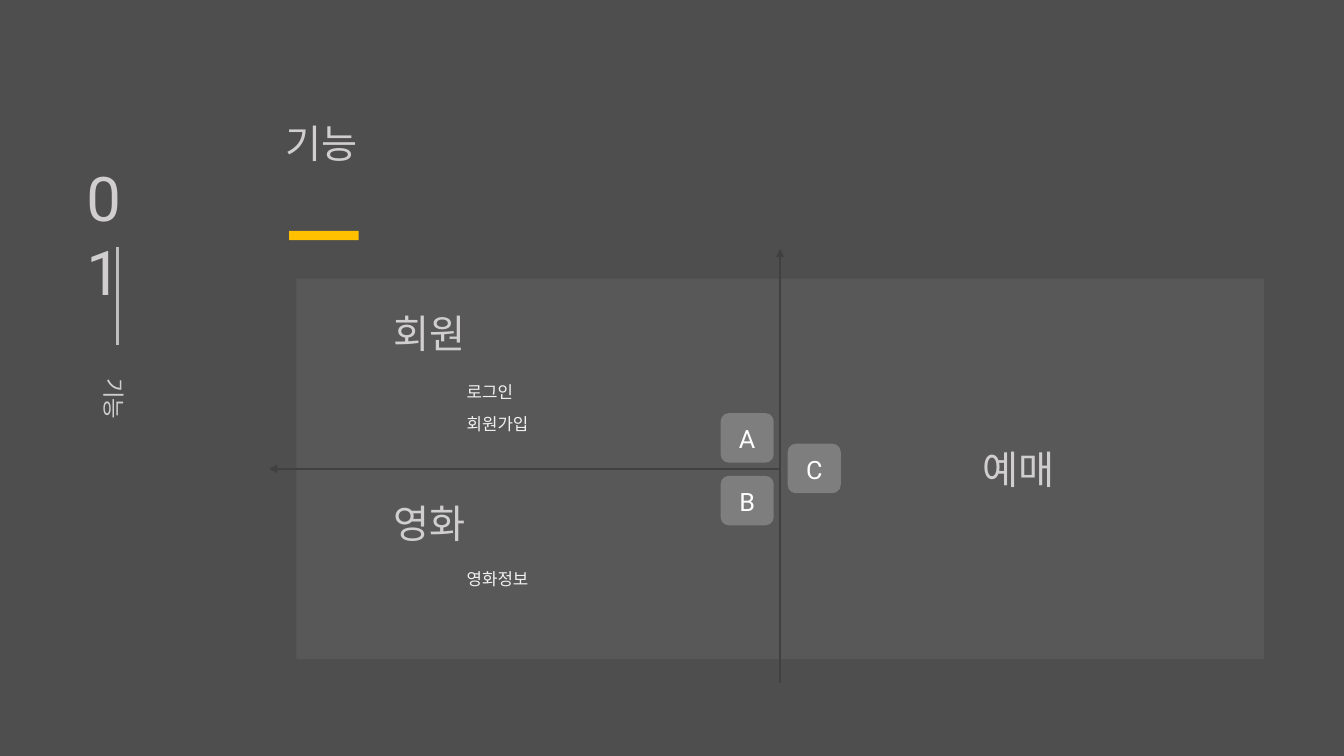
from dataclasses import dataclass

from lxml import etree
from pptx import Presentation
from pptx import util as u
from pptx.dml.color import RGBColor
from pptx.enum import shapes, text
from pptx.oxml import ns

COLORS = {
    "background": "4D4E4D",
    "panel": "585858",
    "key": "7E7E7E",
    "axis": "404040",
    "accent": "FFC000",
    "divider": "BEBEBE",
    "heading": "D0CECE",
    "item": "F1F1F1",
    "letter": "FFFFFF",
}
FONT = "Roboto"


@dataclass(frozen=True)
class Box:
    left: float
    top: float
    width: float
    height: float

    def lengths(self) -> tuple:
        return tuple(u.Cm(value) for value in (self.left, self.top, self.width, self.height))


@dataclass(frozen=True)
class Style:
    size: float
    color: str
    tracking: int = 0
    before: float = 1
    inset_top: float = 0.03
    align: text.PP_ALIGN = text.PP_ALIGN.LEFT
    anchor: text.MSO_ANCHOR = text.MSO_ANCHOR.TOP


@dataclass(frozen=True)
class Label:
    words: str
    box: Box
    style: Style
    vertical: bool = False


@dataclass(frozen=True)
class Key:
    letter: str
    left: float
    top: float


@dataclass(frozen=True)
class Line:
    start: tuple[float, float]
    end: tuple[float, float]
    color: str
    width: float
    arrow: bool = False


HEADING = Style(28, "heading", tracking=10, before=1.1, inset_top=0.05)
NUMBER = Style(44, "heading", tracking=-310, before=0.9)
SIDE = Style(16, "heading", tracking=10, inset_top=0)
ITEM = Style(12, "item", before=8, inset_top=0.28)
LETTER = Style(18, "letter", tracking=-10, align=text.PP_ALIGN.CENTER,
               anchor=text.MSO_ANCHOR.MIDDLE)

PANEL = Box(7.47, 7.02, 24.38, 9.59)
ACCENT = Box(7.29, 5.82, 1.75, 0.23)
CENTER_X = PANEL.left + PANEL.width / 2
CENTER_Y = PANEL.top + PANEL.height / 2

TITLE = Label("기능", Box(7.2, 2.95, 6.6, 1.24), HEADING)
LISTS = [
    Label("로그인\n회원가입", Box(11.76, 9.35, 10.34, 1.6), ITEM),
    Label("영화정보", Box(11.76, 14.05, 10.34, 0.79), ITEM),
]
LABELS = [
    Label("01", Box(2.18, 4.01, 1.57, 1.93), NUMBER),
    Label("기능", Box(2.54, 9.53, 0.69, 3.73), SIDE, vertical=True),
    Label("회원", Box(9.91, 7.75, 6.6, 1.24), HEADING),
    Label("예매", Box(24.77, 11.18, 6.6, 1.24), HEADING),
    Label("영화", Box(9.91, 12.52, 6.6, 1.24), HEADING),
]
KEYS = [Key("A", 18.16, 10.41), Key("C", 19.85, 11.18), Key("B", 18.16, 11.99)]
LINES = [
    Line((2.95, 6.22), (2.95, 8.69), "divider", 2.16),
    Line((CENTER_X, 17.22), (CENTER_X, 6.27), "axis", 1.5, arrow=True),
    Line((CENTER_X, CENTER_Y), (6.78, CENTER_Y), "axis", 1.5, arrow=True),
]


def color(name: str) -> RGBColor:
    return RGBColor.from_string(COLORS[name])


def write(shape, words: str, style: Style) -> None:
    frame = shape.text_frame
    frame.text = words
    frame.word_wrap = True
    frame.auto_size = text.MSO_AUTO_SIZE.NONE
    frame.vertical_anchor = style.anchor
    frame.margin_left = frame.margin_right = frame.margin_bottom = 0
    frame.margin_top = u.Cm(style.inset_top)
    for paragraph in frame.paragraphs:
        paragraph.alignment = style.align
        paragraph.space_before = u.Pt(style.before)
        properties = paragraph._p.get_or_add_pPr()
        properties.set("marL", "0")
        properties.set("indent", "0")
        etree.SubElement(properties, ns.qn("a:buNone"))
        for run in paragraph.runs:
            run.font.name = FONT
            run.font.size = u.Pt(style.size)
            run.font.color.rgb = color(style.color)
            run.font._element.set("spc", str(style.tracking))


def fill_placeholder(placeholder, label: Label) -> None:
    placeholder.left, placeholder.top, placeholder.width, placeholder.height = label.box.lengths()
    write(placeholder, label.words, label.style)


def add_label(slide, label: Label) -> None:
    shape = slide.shapes.add_textbox(*label.box.lengths())
    write(shape, label.words, label.style)
    if label.vertical:
        shape.element.txBody.bodyPr.set("vert", "vert")


def add_block(slide, kind: shapes.MSO_SHAPE, box: Box, fill: str):
    shape = slide.shapes.add_shape(kind, *box.lengths())
    shape.shadow.inherit = False
    shape.fill.solid()
    shape.fill.fore_color.rgb = color(fill)
    shape.line.fill.background()
    return shape


def add_key(slide, key: Key) -> None:
    box = Box(key.left, key.top, 1.34, 1.25)
    shape = add_block(slide, shapes.MSO_SHAPE.ROUNDED_RECTANGLE, box, "key")
    shape.adjustments[0] = 0.17
    write(shape, key.letter, LETTER)


def add_line(slide, line: Line) -> None:
    points = [u.Cm(value) for value in (*line.start, *line.end)]
    connector = slide.shapes.add_connector(shapes.MSO_CONNECTOR.STRAIGHT, *points)
    connector.line.color.rgb = color(line.color)
    connector.line.width = u.Pt(line.width)
    if line.arrow:
        etree.SubElement(connector.line._get_or_add_ln(), ns.qn("a:tailEnd"), type="triangle")
    etree.SubElement(connector.element.spPr, ns.qn("a:effectLst"))


def main() -> None:
    presentation = Presentation()
    presentation.slide_width = u.Cm(33.87)
    presentation.slide_height = u.Cm(19.05)
    slide = presentation.slides.add_slide(presentation.slide_layouts[3])
    slide.background.fill.solid()
    slide.background.fill.fore_color.rgb = color("background")

    panel = add_block(slide, shapes.MSO_SHAPE.RECTANGLE, PANEL, "panel")
    slide.shapes.element.insert(2, panel.element)
    add_block(slide, shapes.MSO_SHAPE.RECTANGLE, ACCENT, "accent")
    for placeholder, label in zip(slide.placeholders, [TITLE, *LISTS]):
        fill_placeholder(placeholder, label)
    for key in KEYS:
        add_key(slide, key)
    for label in LABELS:
        add_label(slide, label)
    for line in LINES:
        add_line(slide, line)

    presentation.save("out.pptx")


if __name__ == "__main__":
    main()
